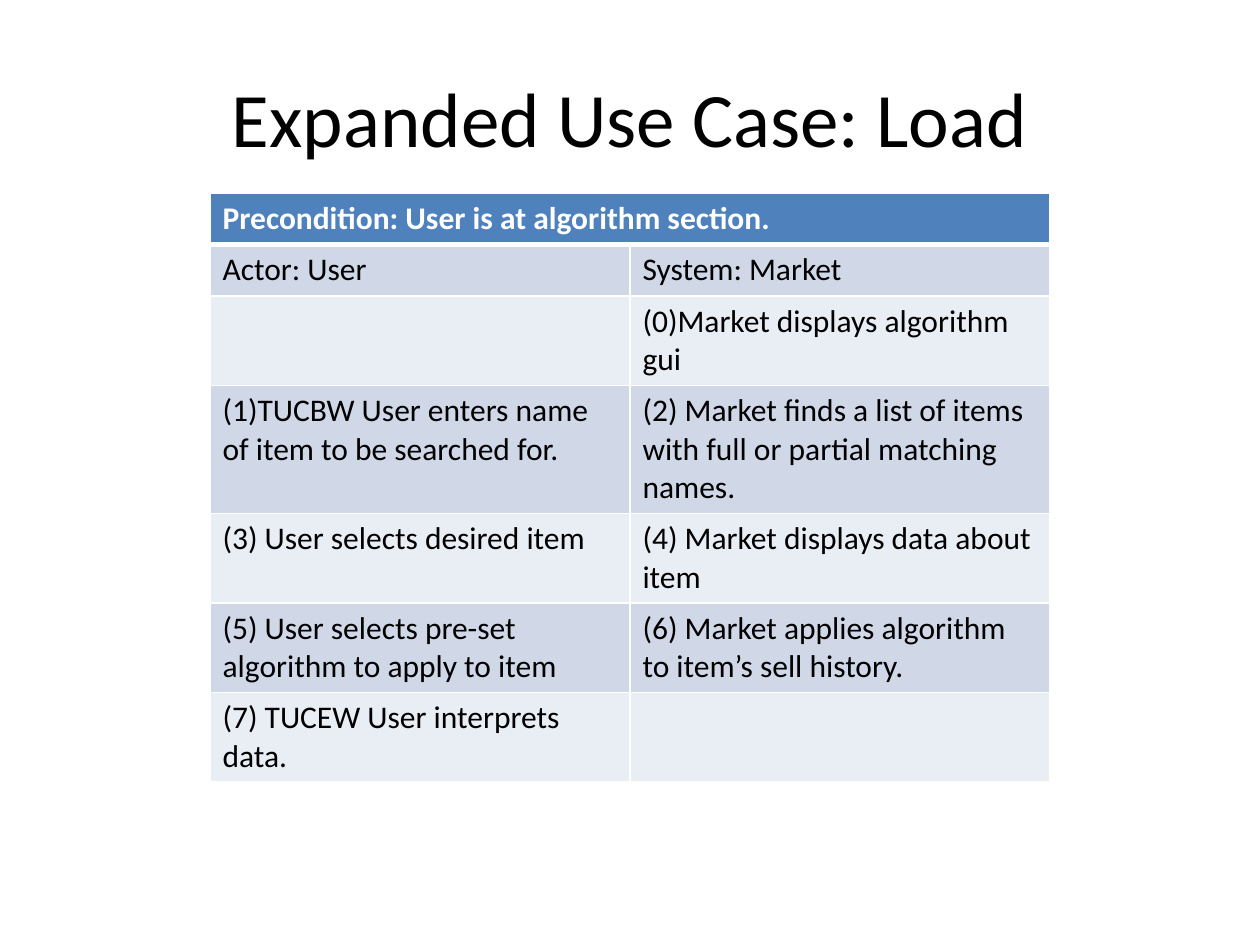
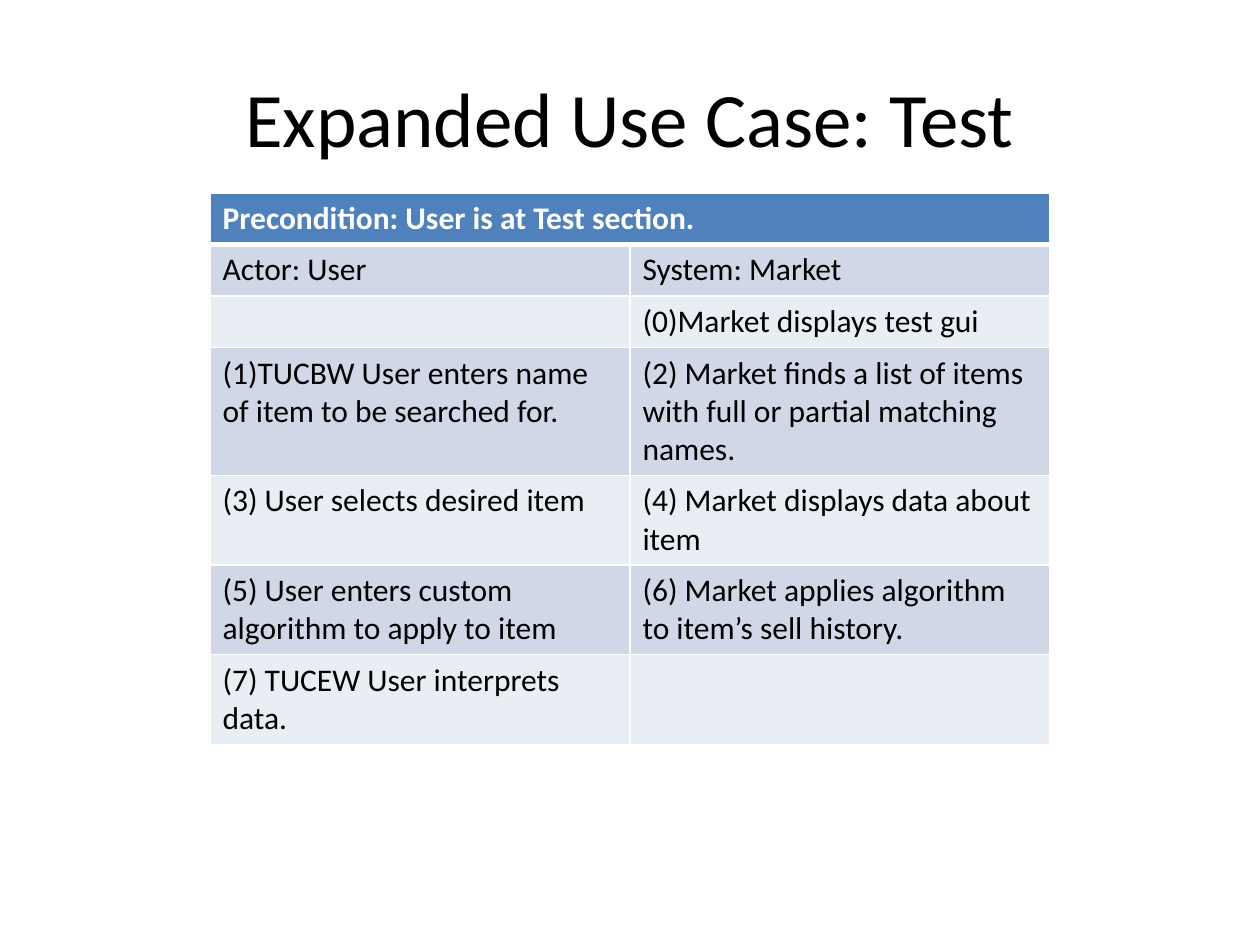
from lxml.etree import SubElement
from pptx import Presentation
from pptx.dml.color import RGBColor
from pptx.enum.text import MSO_ANCHOR, PP_ALIGN
from pptx.oxml.ns import qn
from pptx.util import Inches, Pt

COLOURS = {
    "page": "FFFFFF",
    "ink": "000000",
    "header": "4F81BD",
    "header_ink": "FFFFFF",
    "odd_row": "D0D8E8",
    "even_row": "E9EDF4",
    "rule": "FFFFFF",
}
FONT = "Calibri"
WIDTH, HEIGHT = Inches(10), Inches(7.5)
TITLE_BOX = (0.05, 0.04, 0.9, 1 / 6)
ROW_HEIGHT = Inches(0.41)
RULE_WIDTH, HEADER_RULE_WIDTH = 1, 3


def set_all(target, values):
    for name, value in values.items():
        setattr(target, name, value)


def place(shape, box):
    left, top, width, height = box
    set_all(shape, {
        "left": round(left * WIDTH),
        "top": round(top * HEIGHT),
        "width": round(width * WIDTH),
        "height": round(height * HEIGHT),
    })


def write(frame, text, size, colour, bold=False, align=PP_ALIGN.LEFT):
    para = frame.paragraphs[0]
    para.alignment = align
    span = para.add_run()
    span.text = text
    set_all(span.font, {"name": FONT, "size": Pt(size), "bold": bold})
    span.font.color.rgb = RGBColor.from_string(COLOURS[colour])


def draw_rules(cell, widths):
    properties = cell._tc.get_or_add_tcPr()
    for position, (side, width) in enumerate(zip("LRTB", widths)):
        line = SubElement(properties, qn(f"a:ln{side}"), w=str(Pt(width)))
        fill = SubElement(line, qn("a:solidFill"))
        SubElement(fill, qn("a:srgbClr"), val=COLOURS["rule"])
        properties.insert(position, line)


def style_cell(cell, fill, widths):
    cell.fill.solid()
    cell.fill.fore_color.rgb = RGBColor.from_string(COLOURS[fill])
    draw_rules(cell, widths)


def add_title(page, text, box):
    title = page.shapes.title
    place(title, box)
    set_all(title.text_frame, {"word_wrap": True, "vertical_anchor": MSO_ANCHOR.MIDDLE})
    write(title.text_frame, text, 44, "ink", align=PP_ALIGN.CENTER)


def add_steps(page, precondition, steps, box):
    rows = [(precondition, "")] + steps
    frame = page.shapes.add_table(len(rows), 2, 0, 0, WIDTH, HEIGHT)
    table = frame.table
    for column in table.columns:
        column.width = round(box[2] * WIDTH / 2)
    for index, texts in enumerate(rows):
        table.rows[index].height = ROW_HEIGHT
        is_header = index == 0
        fill = "header" if is_header else "odd_row" if index % 2 else "even_row"
        above = HEADER_RULE_WIDTH if index == 1 else RULE_WIDTH
        below = HEADER_RULE_WIDTH if is_header else RULE_WIDTH
        for cell, text in zip(table.rows[index].cells, texts):
            style_cell(cell, fill, (RULE_WIDTH, RULE_WIDTH, above, below))
            if text:
                write(cell.text_frame, text, 18, "header_ink" if is_header else "ink", is_header)
    table.cell(0, 0).merge(table.cell(0, 1))
    place(frame, box)


def add_use_case(deck, name, section, display, choice, table_height):
    page = deck.slides.add_slide(deck.slide_layouts[5])
    page.background.fill.solid()
    page.background.fill.fore_color.rgb = RGBColor.from_string(COLOURS["page"])
    steps = [
        ("Actor: User", "System: Market"),
        ("", f"(0)Market displays {display} gui"),
        ("(1)TUCBW User enters name of item to be searched for.",
         "(2) Market finds a list of items with full or partial matching names."),
        ("(3) User selects desired item", "(4) Market displays data about item"),
        (f"(5) User {choice} algorithm to apply to item",
         "(6) Market applies algorithm to item’s sell history."),
        ("(7) TUCEW User interprets data.", ""),
    ]
    add_title(page, f"Expanded Use Case: {name}", TITLE_BOX)
    add_steps(page, f"Precondition: User is at {section} section.", steps,
              (1 / 6, 0.204, 2 / 3, table_height))


deck = Presentation()
set_all(deck, {"slide_width": WIDTH, "slide_height": HEIGHT})
add_use_case(deck, "Load", "algorithm", "algorithm", "selects pre-set", 0.615)
add_use_case(deck, "Test", "Test", "test", "enters custom", 0.576)
deck.save("out.pptx")
